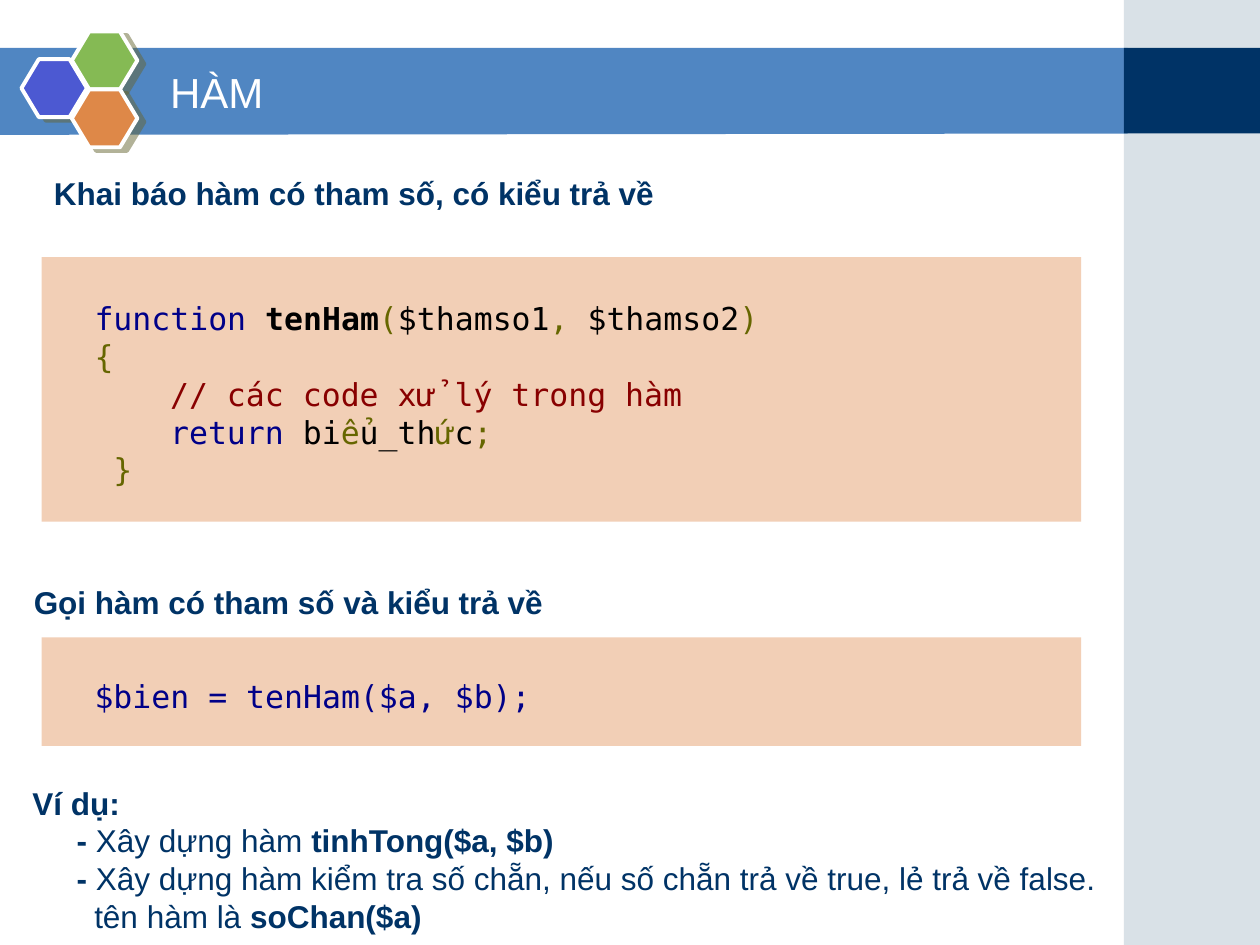
from dataclasses import dataclass

from lxml import etree
from pptx import Presentation
from pptx import util as u
from pptx.dml import color
from pptx.enum import shapes, text
from pptx.oxml import ns


@dataclass(frozen=True)
class Theme:
    sans: str = "Arial"
    mono: str = "DejaVu Sans Mono"
    title_size: int = 24
    body_size: int = 18
    white: str = "FFFFFF"
    navy: str = "003366"
    band: str = "5086C2"
    side: str = "A0B5C4"
    code_box: str = "F2CFB6"
    keyword: str = "000088"
    plain: str = "000000"
    symbol: str = "666600"
    comment: str = "880000"
    shadow: str = "666633"


T = Theme()
K, P, S, C = T.keyword, T.plain, T.symbol, T.comment

TITLE = "HÀM"

HEXAGONS = [(0.17, 0.47, "4C59D2"), (0.57, 0.25, "85BA54"), (0.57, 0.71, "DE8848")]

DECLARATION = [
    (0, [("function ", K, False), ("tenHam", P, True), ("(", S, False),
         ("$thamso1", P, False), (",", S, False), (" $thamso2", P, False), (")", S, False)]),
    (0, [("{", S, False)]),
    (0.6, [("// các code xử lý trong hàm", C, False)]),
    (0.6, [("return ", K, False), ("bi", P, False), ("ể", S, False), ("u_th", P, False),
           ("ứ", S, False), ("c", P, False), (";", S, False)]),
    (0.15, [("}", S, False)]),
]
CALL = [(0, [("$bien = tenHam($a, $b);", K, False)])]
CODE_BOXES = [(2.04, 2.1, DECLARATION), (5.06, 0.86, CALL)]

N = T.navy
DECLARATION_HEADING = [(0, [("Khai báo hàm có tham số, có kiểu trả về", N, True)])]
CALL_HEADING = [(0, [("Gọi hàm có tham số và kiểu trả về", N, True)])]
EXAMPLE = [
    (0, [("Ví dụ:", N, True)]),
    (0.35, [("- ", N, True), ("Xây dựng hàm ", N, False), ("tinhTong($a, $b)", N, True)]),
    (0.35, [("- ", N, True),
            ("Xây dựng hàm kiểm tra số chẵn, nếu số chẵn trả về true, lẻ trả về false.", N, False)]),
    (0.49, [("tên hàm là ", N, False), ("soChan($a)", N, True)]),
]
TEXTS = [
    (0.33, 1.33, 5.3, 0.4, DECLARATION_HEADING),
    (0.17, 4.58, 4.6, 0.4, CALL_HEADING),
    (0.16, 6.17, 9, 1.31, EXAMPLE),
]


def rgb(value):
    return color.RGBColor.from_string(value)


def inches(*values):
    return [u.Inches(v) for v in values]


def paint(shape, fill):
    shape.shadow.inherit = False
    shape.fill.solid()
    shape.fill.fore_color.rgb = rgb(fill)
    shape.line.fill.background()
    return shape


def add_preset(kind, box, fill):
    return paint(slide.shapes.add_shape(kind, *inches(*box)), fill)


def add_hexagon(left, top, fill):
    hexagon = add_preset(shapes.MSO_SHAPE.HEXAGON, (left, top, 0.52, 0.46), fill)
    hexagon.adjustments[0] = 0.3
    hexagon.line.color.rgb = rgb(T.white)
    hexagon.line.width = u.Pt(2.25)
    effects = hexagon.element.spPr.find(ns.qn("a:effectLst"))
    shadow = etree.SubElement(effects, ns.qn("a:outerShdw"), blurRad="0",
                              dist=str(u.Pt(4.5)), dir=str(27 * 60000), algn="ctr", rotWithShape="0")
    tint = etree.SubElement(shadow, ns.qn("a:srgbClr"), val=T.shadow)
    etree.SubElement(tint, ns.qn("a:alpha"), val="50000")


def write(frame, lines, font):
    frame.word_wrap = True
    for number, (indent, parts) in enumerate(lines):
        paragraph = frame.paragraphs[0] if number == 0 else frame.add_paragraph()
        paragraph.alignment = text.PP_ALIGN.LEFT
        paragraph.font.name = font
        paragraph.font.size = u.Pt(T.body_size)
        paragraph._p.get_or_add_pPr().set("marL", str(u.Inches(indent)))
        for wording, ink, bold in parts:
            run = paragraph.add_run()
            run.text = wording
            run.font.name = font
            run.font.size = u.Pt(T.body_size)
            run.font.bold = bold
            run.font.color.rgb = rgb(ink)


prs = Presentation()
prs.slide_width, prs.slide_height = inches(10, 7.5)
slide = prs.slides.add_slide(prs.slide_layouts[5])

outline = slide.shapes.build_freeform(*inches(-0.01, 0.38))
outline.add_line_segments([inches(*point) for point in [(8.95, 0.38), (8.95, 1.06), (-0.01, 1.07)]])
paint(outline.convert_to_shape(), T.band)

RECTANGLE = shapes.MSO_SHAPE.RECTANGLE
side_panel = add_preset(RECTANGLE, (8.92, 0, 1.08, 7.5), T.side)
side_tint = side_panel.element.spPr.find(".//" + ns.qn("a:srgbClr"))
etree.SubElement(side_tint, ns.qn("a:alpha"), val="40000")
add_preset(RECTANGLE, (8.92, 0.38, 1.08, 0.68), T.navy)

for left, top, fill in HEXAGONS:
    add_hexagon(left, top, fill)

title = slide.shapes.title
slide.shapes.element.append(title.element)
title.left, title.top, title.width, title.height = inches(1.25, 0.42, 8.25, 0.62)
title.text_frame.text = TITLE
title.text_frame.vertical_anchor = text.MSO_ANCHOR.MIDDLE
heading = title.text_frame.paragraphs[0]
heading.alignment = text.PP_ALIGN.LEFT
heading.font.name = T.sans
heading.font.size = u.Pt(T.title_size)
heading.font.color.rgb = rgb(T.white)

for top, height, lines in CODE_BOXES:
    frame = add_preset(RECTANGLE, (0.33, top, 8.25, height), T.code_box).text_frame
    frame.vertical_anchor = text.MSO_ANCHOR.MIDDLE
    frame.margin_left, frame.margin_top, frame.margin_bottom = inches(0.42, 0.07, 0)
    write(frame, lines, T.mono)

for left, top, width, height, lines in TEXTS:
    write(slide.shapes.add_textbox(*inches(left, top, width, height)).text_frame, lines, T.sans)

prs.save("out.pptx")
